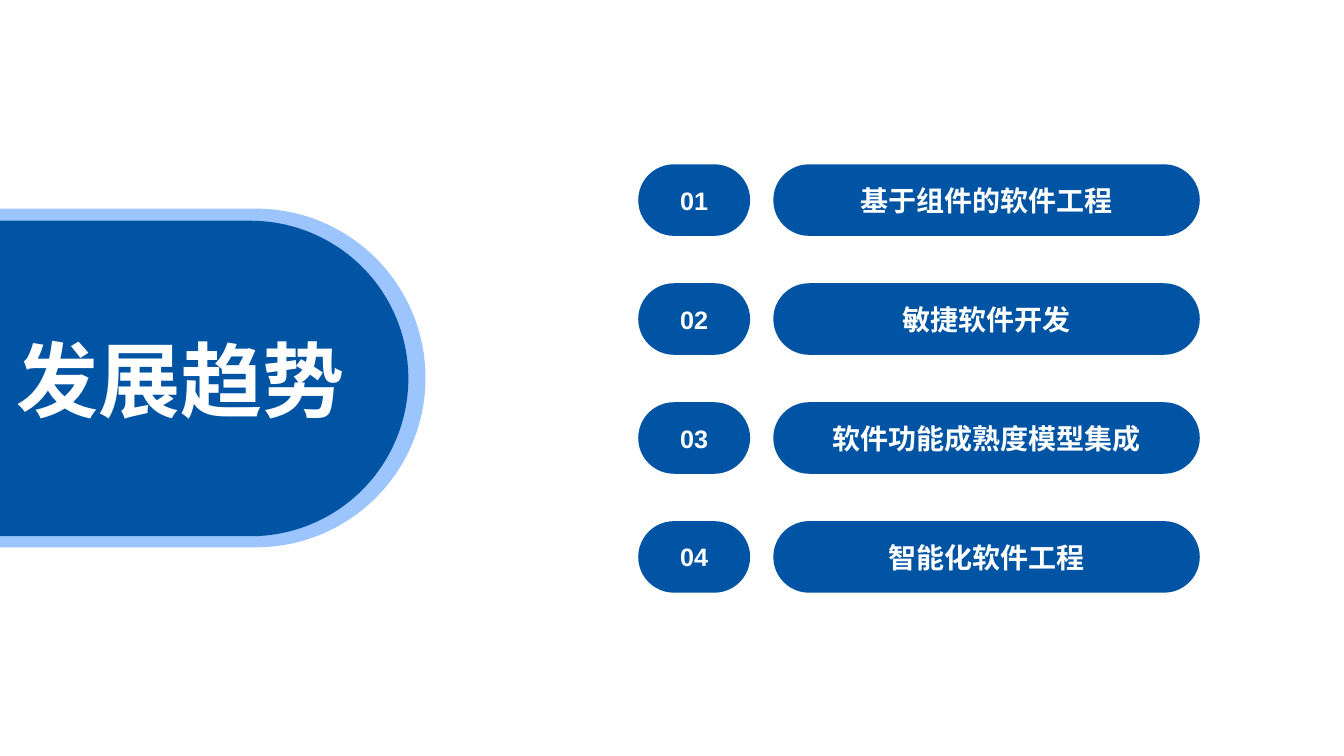
import pptx
import pptx.util
import pptx.dml.color
import pptx.enum.shapes
import pptx.enum.text
from pptx.util import Inches

COLORS = {"blue": "0054A3", "light_blue": "9CC5FD", "white": "FFFFFF"}
FONT = "Arial"
TOPICS = ["基于组件的软件工程", "敏捷软件开发", "软件功能成熟度模型集成", "智能化软件工程"]
ROW_TOP, ROW_PITCH, ROW_HEIGHT = 1.63, 1.18, 0.71


def rgb(name):
    return pptx.dml.color.RGBColor.from_string(COLORS[name])


def set_text(sp, text, size):
    """Fill a shape with one centred line of bold white text."""
    tf = sp.text_frame
    tf.text = text
    tf.vertical_anchor = pptx.enum.text.MSO_ANCHOR.MIDDLE
    p = tf.paragraphs[0]
    p.alignment = pptx.enum.text.PP_ALIGN.CENTER
    p.font.name = FONT
    p.font.size = pptx.util.Pt(size)
    p.font.bold = True
    p.font.color.rgb = rgb("white")


def add_pill(shapes, left, top, width, height, color):
    """Add a rectangle with fully rounded ends."""
    sp = shapes.add_shape(
        pptx.enum.shapes.MSO_SHAPE.ROUNDED_RECTANGLE,
        Inches(left), Inches(top), Inches(width), Inches(height))
    sp.adjustments[0] = 0.5
    sp.shadow.inherit = False
    sp.fill.solid()
    sp.fill.fore_color.rgb = rgb(color)
    sp.line.fill.background()
    return sp


def add_topic_row(s, number, topic):
    top = ROW_TOP + (number - 1) * ROW_PITCH
    row = s.shapes.add_group_shape()
    badge = add_pill(row.shapes, 6.33, top, 1.11, ROW_HEIGHT, "blue")
    set_text(badge, f"{number:02d}", 18)
    label = add_pill(row.shapes, 7.67, top, 4.23, ROW_HEIGHT, "blue")
    set_text(label, topic, 20)


def place_title(s, text):
    """Put the title placeholder in front of the shapes drawn so far."""
    title = s.shapes.title
    title.left, title.top = Inches(0.05), Inches(3.21)
    title.width, title.height = Inches(3.48), Inches(1.09)
    set_text(title, text, 58.6)
    title.text_frame.word_wrap = False
    title.text_frame.auto_size = pptx.enum.text.MSO_AUTO_SIZE.SHAPE_TO_FIT_TEXT
    title.element.getparent().append(title.element)


def main():
    prs = pptx.Presentation()
    prs.slide_width, prs.slide_height = Inches(13.33), Inches(7.5)
    s = prs.slides.add_slide(prs.slide_layouts.get_by_name("Title Only"))
    add_pill(s.shapes, -1.96, 2.07, 6.18, 3.36, "light_blue")
    add_pill(s.shapes, -1.7, 2.19, 5.75, 3.13, "blue")
    place_title(s, "发展趋势")
    for number, topic in enumerate(TOPICS, start=1):
        add_topic_row(s, number, topic)
    prs.save("out.pptx")


if __name__ == "__main__":
    main()
